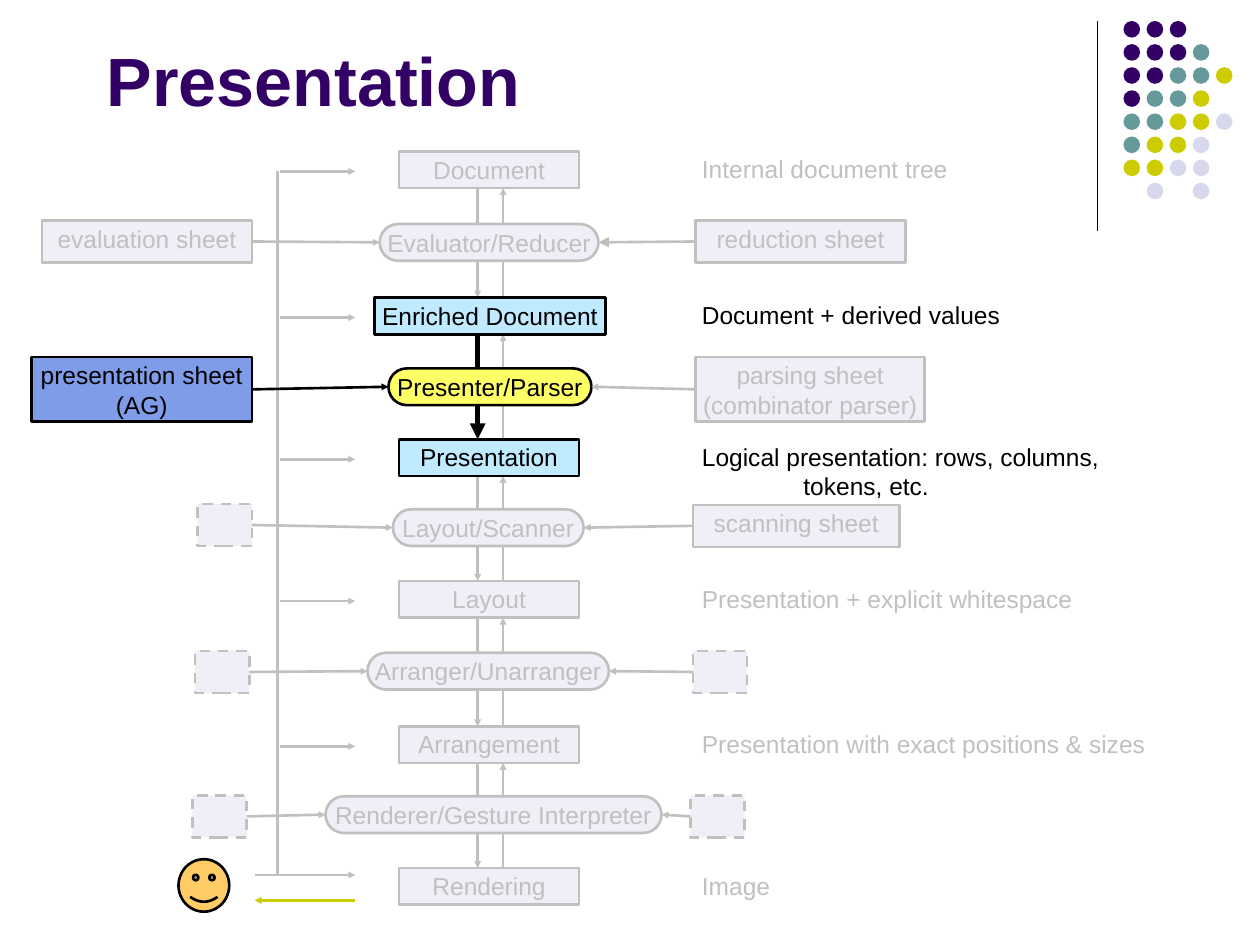
from itertools import pairwise

from lxml.etree import SubElement
from pptx import Presentation
from pptx.dml.color import RGBColor
from pptx.enum.dml import MSO_LINE
from pptx.enum.shapes import MSO_CONNECTOR, MSO_SHAPE
from pptx.enum.text import MSO_ANCHOR, PP_ALIGN
from pptx.oxml.ns import qn
from pptx.util import Pt

BLACK = RGBColor(0x00, 0x00, 0x00)
GREY = RGBColor(0xC0, 0xC0, 0xC0)
PALE = RGBColor(0xEF, 0xEF, 0xF7)
SKY = RGBColor(0xBF, 0xEA, 0xFF)
YELLOW = RGBColor(0xFF, 0xFF, 0x66)
BLUE = RGBColor(0x7E, 0x9C, 0xE8)
ORANGE = RGBColor(0xFF, 0xCC, 0x66)
PURPLE = RGBColor(0x33, 0x00, 0x66)
TEAL = RGBColor(0x66, 0x99, 0x99)
OLIVE = RGBColor(0xCC, 0xCC, 0x00)
LILAC = RGBColor(0xD8, 0xD8, 0xEC)

BODY = {"name": "Arial", "size": Pt(14), "bold": False}
HEADING = {"name": "Arial", "size": Pt(39), "bold": True}
TIGHT = {"margin_left": Pt(3.6), "margin_right": Pt(3.6), "margin_top": Pt(1.8),
         "margin_bottom": Pt(1.8), "word_wrap": False,
         "vertical_anchor": MSO_ANCHOR.TOP}
PILL = TIGHT | {"margin_top": 0, "margin_bottom": 0,
                "vertical_anchor": MSO_ANCHOR.MIDDLE}
LOOSE = {"margin_left": Pt(7.2), "margin_right": Pt(7.2), "margin_top": Pt(3.6),
         "margin_bottom": Pt(3.6), "word_wrap": True,
         "vertical_anchor": MSO_ANCHOR.TOP}

prs = Presentation()
prs.slide_width, prs.slide_height = Pt(720), Pt(540)
slide = prs.slides.add_slide(prs.slide_layouts[6])


def add_box(kind, place, fill=None, ink=None, lines=(), frame=TIGHT, font=BODY,
            align=PP_ALIGN.CENTER):
    """Add a shape, or a text box when kind is None."""
    place = [Pt(length) for length in place]
    if kind is None:
        shape = slide.shapes.add_textbox(*place)
    else:
        shape = slide.shapes.add_shape(kind, *place)
        shape.shadow.inherit = False
        shape.fill.solid()
        shape.fill.fore_color.rgb = fill
        if ink is None:
            shape.line.fill.background()
        else:
            shape.line.color.rgb = ink
            shape.line.width = Pt(1.5)
    if lines:
        for name, value in frame.items():
            setattr(shape.text_frame, name, value)
        shape.text_frame.text = "\n".join(lines)
        for paragraph in shape.text_frame.paragraphs:
            paragraph.alignment = align
            paragraph.font.color.rgb = ink or font.get("color", BLACK)
            for name, value in font.items():
                setattr(paragraph.font, name, value)
    return shape


def add_line(x1, y1, x2, y2, color=GREY, width=1.5, head="sm"):
    line = slide.shapes.add_connector(
        MSO_CONNECTOR.STRAIGHT, Pt(x1), Pt(y1), Pt(x2), Pt(y2))
    line.line.color.rgb = color
    line.line.width = Pt(width)
    if head:
        SubElement(line.line._get_or_add_ln(), qn("a:tailEnd"),
                   type="triangle", w=head, len=head)
    SubElement(line._element.spPr, qn("a:effectLst"))
    return line


# Corner ornament
add_line(627, 12, 627, 132, BLACK, 0.75, head=None)
DOT_COLORS = {"P": PURPLE, "T": TEAL, "O": OLIVE, "L": LILAC}
DOT_ROWS = ["PPP", "PPPT", "PPTTO", "PTTO", "TTOOL", "TOOL", "OOLL", " L L"]
for row, dots in enumerate(DOT_ROWS):
    for column, dot in enumerate(dots):
        if dot in DOT_COLORS:
            add_box(MSO_SHAPE.OVAL, (642 + 13.2 * column, 12 + 13.2 * row, 9.5, 9.5),
                    DOT_COLORS[dot])

# Title
add_box(None, (54, 0, 612, 90), ink=PURPLE, lines=["Presentation"],
        frame=LOOSE | {"vertical_anchor": MSO_ANCHOR.MIDDLE}, font=HEADING,
        align=PP_ALIGN.LEFT)

# Stages: name, top, left, width, fill, ink, caption
BOX_HEIGHT = 21
STAGES = [
    ("Document", 86.5, 228, 103, PALE, GREY, ["Internal document tree"]),
    ("Enriched Document", 170, 214, 132, SKY, BLACK, ["Document + derived values"]),
    ("Presentation", 251, 228, 103, SKY, BLACK,
     ["Logical presentation: rows, columns,", "tokens, etc."]),
    ("Layout", 332, 228, 103, PALE, GREY, ["Presentation + explicit whitespace"]),
    ("Arrangement", 415, 228, 103, PALE, GREY,
     ["Presentation with exact positions & sizes"]),
    ("Rendering", 496, 228, 103, PALE, GREY, ["Image"]),
]

# Arrows down and up between neighbouring stages
for upper, lower in pairwise(STAGES):
    start, end = upper[1] + BOX_HEIGHT, lower[1]
    add_line(287.5, end, 287.5, start)
    if upper[5] == lower[5] == BLACK:
        add_line(273, start, 273, end, BLACK, 3, "med")
    else:
        add_line(273, start, 273, end)

# Spine on the left, with an arrow to each stage
add_line(158.5, 98, 158.5, 500, head=None)
for name, top, left, width, fill, ink, caption in STAGES:
    add_box(MSO_SHAPE.RECTANGLE, (left, top, width, BOX_HEIGHT), fill, ink, [name])
    note = add_box(None, (394, top - 2, 284, 26), ink=ink, lines=caption,
                   frame=LOOSE, align=PP_ALIGN.LEFT)
    for continuation in note.text_frame.paragraphs[1:]:
        continuation._p.get_or_add_pPr().set("marL", str(Pt(58)))
    if name != "Rendering":
        add_line(160, top + 11.5, 203, top + 11.5)

# User, below the spine
add_box(MSO_SHAPE.SMILEY_FACE, (102, 491, 29, 30), ORANGE, BLACK)
add_line(145.5, 500, 203, 500)
add_line(203, 514.5, 145.5, 514.5, OLIVE)

# Processes: name, place, fill, ink
# Sheets on each side: lines (none means dashed), place, fill, ink, arrowhead
PROCESSES = [
    ("Evaluator/Reducer", (217, 128, 125, BOX_HEIGHT), PALE, GREY,
     (["evaluation sheet"], (24, 126, 120, 24), PALE, GREY, "sm"),
     (["reduction sheet"], (397.5, 126, 120, 24), PALE, GREY, "med")),
    ("Presenter/Parser", (222, 210.5, 116, BOX_HEIGHT), YELLOW, BLACK,
     (["presentation sheet", "(AG)"], (18, 204, 126, 37), BLUE, BLACK, "sm"),
     (["parsing sheet", "(combinator parser)"], (397.5, 204, 131, 37), PALE, GREY, "sm")),
    ("Layout/Scanner", (224.5, 291, 109, BOX_HEIGHT), PALE, GREY,
     ([], (113, 288, 31, 24), PALE, GREY, "sm"),
     (["scanning sheet"], (396, 288.5, 118, 24), PALE, GREY, "sm")),
    ("Arranger/Unarranger", (210, 373, 138, BOX_HEIGHT), PALE, GREY,
     ([], (111.5, 372, 31, 24), PALE, GREY, "sm"),
     ([], (396, 372, 31, 24), PALE, GREY, "sm")),
    ("Renderer/Gesture Interpreter", (186, 455, 192, BOX_HEIGHT), PALE, GREY,
     ([], (110, 454.5, 31, 24), PALE, GREY, "sm"),
     ([], (394.5, 454.5, 31, 24), PALE, GREY, "sm")),
]
LEFT_SIDE, RIGHT_SIDE = 1, 3
for name, place, fill, ink, *sheets in PROCESSES:
    process = add_box(MSO_SHAPE.ROUNDED_RECTANGLE, place, fill, ink, [name], PILL)
    process.adjustments[0] = 0.5
    for sheet_data, out, into in zip(sheets, (RIGHT_SIDE, LEFT_SIDE),
                                     (LEFT_SIDE, RIGHT_SIDE)):
        lines, sheet_place, sheet_fill, sheet_ink, head = sheet_data
        sheet = add_box(MSO_SHAPE.RECTANGLE, sheet_place, sheet_fill, sheet_ink, lines)
        if not lines:
            sheet.line.dash_style = MSO_LINE.DASH
        arrow = add_line(0, 0, 0, 0, sheet_ink, head=head)
        arrow.begin_connect(sheet, out)
        arrow.end_connect(process, into)

prs.save("out.pptx")
